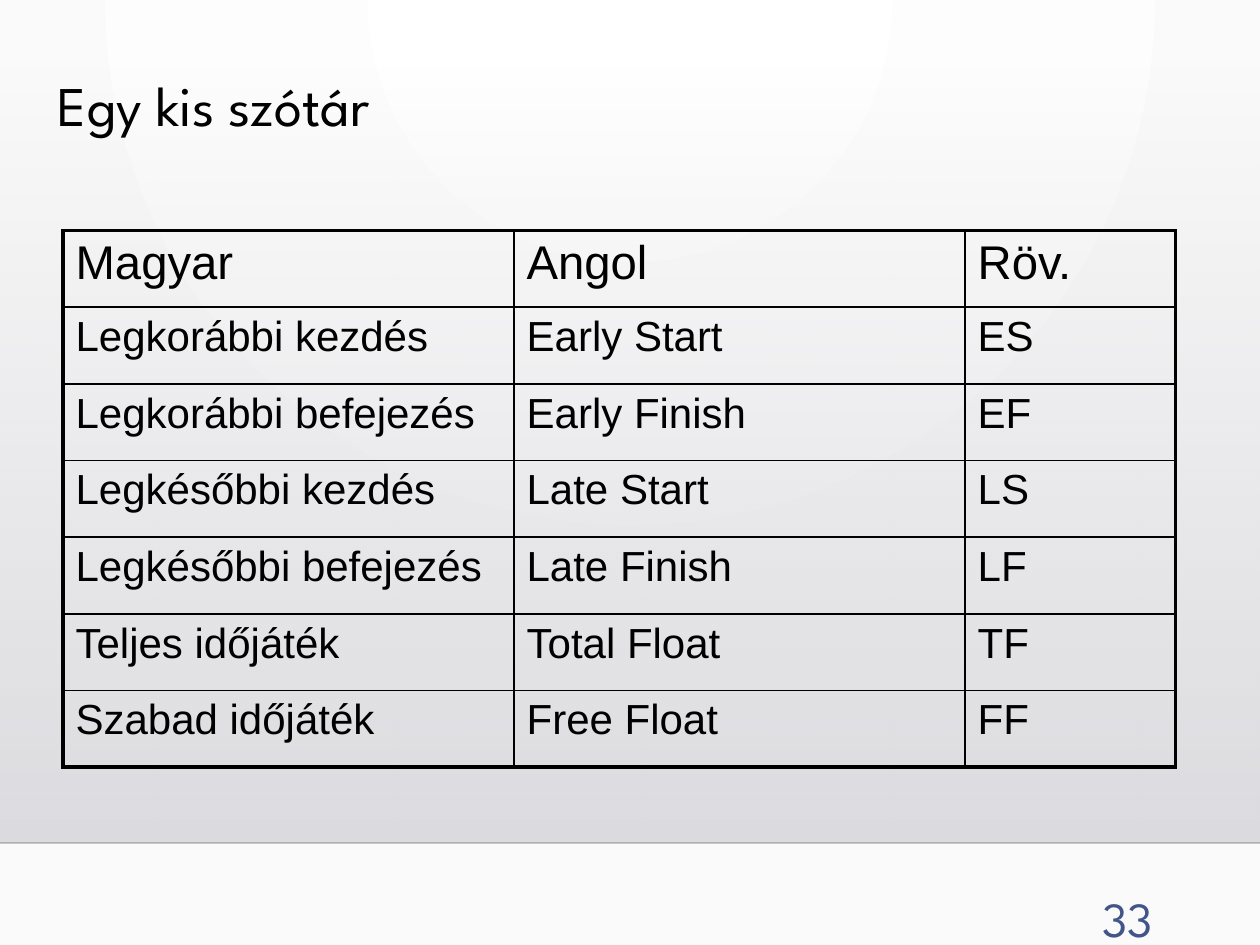
import pptx
import pptx.dml.color
import pptx.enum.shapes
import pptx.enum.text
import pptx.oxml
import pptx.oxml.ns
import pptx.util

Inches = pptx.util.Inches
Pt = pptx.util.Pt
qn = pptx.oxml.ns.qn
NS = pptx.oxml.ns.nsdecls("a")
COLORS = {
    "ink": "000000",
    "number": "415588",
    "rule": "000001",
    "center": "FFFFFF",
    "edge": "FAFAFA",
    "panel_top": "DCDCE0",
    "panel_bottom": "DEDEE2",
}
TERMS = [
    ("Magyar", "Angol", "Röv."),
    ("Legkorábbi kezdés", "Early Start", "ES"),
    ("Legkorábbi befejezés", "Early Finish", "EF"),
    ("Legkésőbbi kezdés", "Late Start", "LS"),
    ("Legkésőbbi befejezés", "Late Finish", "LF"),
    ("Teljes időjáték", "Total Float", "TF"),
    ("Szabad időjáték", "Free Float", "FF"),
]


def rgb(name):
    return pptx.dml.color.RGBColor.from_string(COLORS[name])


def write(tf, text, size=24, font="Arial", color="ink", align=None, spacing=None):
    p = tf.paragraphs[0]
    p.alignment = align
    p.line_spacing = spacing
    r = p.add_run()
    r.text = text
    r.font.size = Pt(size)
    r.font.name = font
    r.font.color.rgb = rgb(color)


class Deck:
    display = "League Spartan"
    outer, inner = 2.25, 1

    def __init__(self, prs):
        self.s = prs.slides.add_slide(prs.slide_layouts[6])

    def gradient(self, fill, owner, stops, direction):
        fill.gradient()
        grad = next(owner.iter(qn("a:gradFill")))
        for child in list(grad):
            grad.remove(child)
        gs = "".join(
            f'<a:gs pos="{pos * 1000}"><a:srgbClr val="{COLORS[color]}">'
            f'<a:alpha val="{alpha * 1000}"/></a:srgbClr></a:gs>'
            for pos, color, alpha in stops
        )
        for xml in (f"<a:gsLst {NS}>{gs}</a:gsLst>", direction):
            grad.append(pptx.oxml.parse_xml(xml))

    def background(self):
        self.gradient(
            self.s.background.fill, self.s._element,
            [(0, "center", 100), (100, "edge", 100)],
            f'<a:path {NS} path="circle">'
            '<a:fillToRect l="43000" t="0" r="43000" b="100000"/></a:path>',
        )

    def panel(self, x, y, w, h):
        sp = self.s.shapes.add_shape(
            pptx.enum.shapes.MSO_SHAPE.RECTANGLE,
            Inches(x), Inches(y), Inches(w), Inches(h))
        sp.shadow.inherit = False
        sp.line.fill.background()
        self.gradient(
            sp.fill, sp._element,
            [(0, "panel_top", 0), (100, "panel_bottom", 100)],
            f'<a:lin {NS} ang="5400000" scaled="0"/>',
        )

    def rule(self, x1, y1, x2, y2):
        line = self.s.shapes.add_connector(
            pptx.enum.shapes.MSO_CONNECTOR.STRAIGHT,
            Inches(x1), Inches(y1), Inches(x2), Inches(y2))
        line.line.width = Pt(1)
        line.line.color.rgb = rgb("rule")
        color = next(line._element.iter(qn("a:srgbClr")))
        color.append(pptx.oxml.parse_xml(f'<a:alpha {NS} val="20000"/>'))
        line._element.spPr.append(pptx.oxml.parse_xml(f"<a:effectLst {NS}/>"))

    def text(self, text, x, y, w, h, **style):
        sp = self.s.shapes.add_textbox(Inches(x), Inches(y), Inches(w), Inches(h))
        tf = sp.text_frame
        tf.word_wrap = True
        tf.vertical_anchor = pptx.enum.text.MSO_ANCHOR.TOP
        write(tf, text, font=self.display, **style)

    def borders(self, cell, outer_sides):
        tcPr = cell._tc.get_or_add_tcPr()
        for i, side in enumerate(("lnL", "lnR", "lnT", "lnB")):
            width = Pt(self.outer if side in outer_sides else self.inner)
            tcPr.insert(i, pptx.oxml.parse_xml(
                f'<a:{side} {NS} w="{width}"><a:solidFill>'
                f'<a:srgbClr val="{COLORS["ink"]}"/></a:solidFill></a:{side}>'))

    def table(self, rows, x, y, widths, h):
        last_row, last_col = len(rows) - 1, len(widths) - 1
        table = self.s.shapes.add_table(
            len(rows), len(widths),
            Inches(x), Inches(y), Inches(sum(widths)), Inches(h)).table
        table.first_row = table.horz_banding = False
        for col, width in zip(table.columns, widths):
            col.width = Inches(width)
        for i, row in enumerate(rows):
            for j, text in enumerate(row):
                cell = table.cell(i, j)
                cell.fill.background()
                write(cell.text_frame, text, size=24 if i else 27)
                edges = {"lnL": j == 0, "lnR": j == last_col,
                         "lnT": i == 0, "lnB": i == last_row}
                self.borders(cell, [side for side, on in edges.items() if on])


def main():
    prs = pptx.Presentation()
    prs.slide_width, prs.slide_height = Inches(10), Inches(7.5)
    deck = Deck(prs)
    deck.background()
    deck.panel(0, 0.51, 10, 6.18)
    deck.rule(0, 6.69, 10, 6.69)
    deck.text("33", 7.5, 7, 1.75, 0.5, size=28, color="number",
              align=pptx.enum.text.PP_ALIGN.RIGHT)
    deck.text("Egy kis szótár", 0.36, 0.57, 8.42, 0.92, size=32, spacing=0.9)
    deck.table(TERMS, 0.5, 1.83, (3.58, 3.58, 1.67), 4.26)
    prs.save("out.pptx")


if __name__ == "__main__":
    main()
